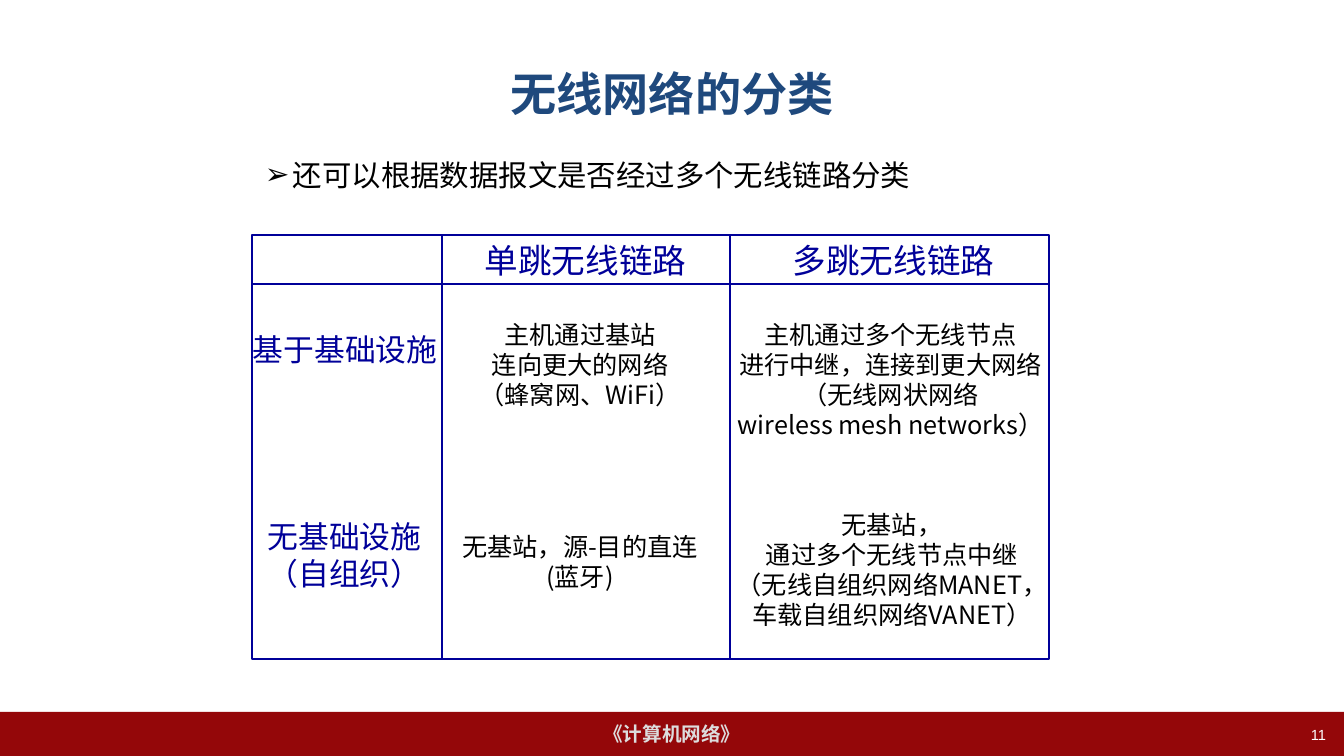
from lxml import etree
from pptx import Presentation
from pptx import util as u
from pptx.dml import color
from pptx.enum import shapes, text
from pptx.oxml import ns

PX = 914400 / 100.8
NAVY, BLACK = "000099", "000000"
SANS, CJK = "Arial", "Noto Sans CJK SC"
LEFT, CENTER, RIGHT = text.PP_ALIGN.LEFT, text.PP_ALIGN.CENTER, text.PP_ALIGN.RIGHT


def px(value):
    return u.Emu(round(value * PX))


def rgb(value):
    return color.RGBColor.from_string(value)


def child(parent, tag, **attributes):
    return etree.SubElement(parent, ns.qn(tag), **attributes)


class Painter:
    def __init__(self, page):
        self.page = page

    def add_lines(self, frame, lines, size, ink, font=CJK, align=CENTER, bold=False, leading=None):
        for index, line in enumerate(lines):
            para = frame.paragraphs[0] if index == 0 else frame.add_paragraph()
            para.alignment = align
            if leading:
                para.line_spacing = u.Pt(round(size * leading, 1))
            span = para.add_run()
            span.text = line
            span.font.size = u.Pt(size)
            span.font.name = font
            span.font.bold = bold
            span.font.color.rgb = rgb(ink)
            child(span.font._element, "a:ea", typeface=CJK)

    def label(self, area, lines, size, ink, anchor=text.MSO_ANCHOR.TOP, grow=False, **style):
        box = self.page.shapes.add_textbox(*map(px, area))
        frame = box.text_frame
        frame.word_wrap = True
        frame.vertical_anchor = anchor
        if grow:
            frame.auto_size = text.MSO_AUTO_SIZE.SHAPE_TO_FIT_TEXT
        self.add_lines(frame, lines, size, ink, **style)
        return box

    def cell(self, area, lines, size, ink):
        self.label(area, lines, size, ink, grow=True, leading=1.2)

    def bullet(self, box, sign, indent):
        for para in box.text_frame.paragraphs:
            settings = para._p.get_or_add_pPr()
            settings.set("marL", str(px(indent)))
            settings.set("indent", str(-px(indent)))
            child(settings, "a:buFont", typeface=SANS)
            child(settings, "a:buChar", char=sign)

    def rect(self, area, fill=None, line=None):
        box = self.page.shapes.add_shape(shapes.MSO_SHAPE.RECTANGLE, *map(px, area))
        box.shadow.inherit = False
        if fill:
            box.fill.solid()
            box.fill.fore_color.rgb = rgb(fill)
        else:
            box.fill.background()
        if line:
            box.line.color.rgb = rgb(line)
            box.line.width = u.Pt(1.5)
        else:
            box.line.fill.background()
        return box

    def rule(self, *ends):
        line = self.page.shapes.add_connector(shapes.MSO_CONNECTOR.STRAIGHT, *map(px, ends))
        line.line.color.rgb = rgb(NAVY)
        line.line.width = u.Pt(1.5)
        child(line._element.spPr, "a:effectLst")


def main():
    deck = Presentation()
    deck.slide_width, deck.slide_height = px(1344), px(756)
    painter = Painter(deck.slides.add_slide(deck.slide_layouts[6]))

    # Footer band and page number
    band = painter.rect((0, 712, 1344, 44), fill="940709")
    band.text_frame.vertical_anchor = text.MSO_ANCHOR.MIDDLE
    painter.add_lines(band.text_frame, ["《计算机网络》"], 14, "DDDDDD", font=SANS, bold=True)
    painter.label((1023, 721, 313, 35), ["11"], 10.5, "FFFFFF", font=SANS, align=RIGHT)

    # Title and lead sentence
    painter.label((67, 30, 1210, 126), ["无线网络的分类"], 33, "1F497D",
                  anchor=text.MSO_ANCHOR.MIDDLE, font=SANS, bold=True)
    lead = painter.label((255, 152, 924, 50), ["还可以根据数据报文是否经过多个无线链路分类"],
                         21, BLACK, font=SANS, align=LEFT, leading=1.2)
    painter.bullet(lead, "➢", 28)

    # Column headings
    for left, heading in ((473, "单跳无线链路"), (781, "多跳无线链路")):
        painter.cell((left, 235, 225, 50), [heading], 24, NAVY)

    # Row headings
    painter.cell((241, 326, 208, 47), ["基于基础设施"], 22, NAVY)
    painter.cell((256, 513, 177, 85), ["无基础设施", "（自组织）"], 22, NAVY)

    # Descriptions
    descriptions = (
        ((467, 314, 226, 102), ["主机通过基站", "连向更大的网络", "（蜂窝网、WiFi）"]),
        ((450, 526, 260, 72), ["无基站，源-目的直连", "(蓝牙)"]),
        ((720, 314, 341, 132), ["主机通过多个无线节点", "进行中继，连接到更大网络",
                                "（无线网状网络", "wireless mesh networks）"]),
        ((722, 504, 340, 132), ["无基站，", "通过多个无线节点中继",
                                "（无线自组织网络MANET，", "车载自组织网络VANET）"]),
    )
    for area, lines in descriptions:
        painter.cell(area, lines, 18, BLACK)

    # Frame and dividing lines
    left, top, right, bottom = 252, 235, 1049, 659
    painter.rect((left, top, right - left, bottom - top), line=NAVY)
    painter.rule(left, 284, right, 284)
    for x in (442, 730):
        painter.rule(x, top, x, bottom)

    deck.save("out.pptx")


if __name__ == "__main__":
    main()
